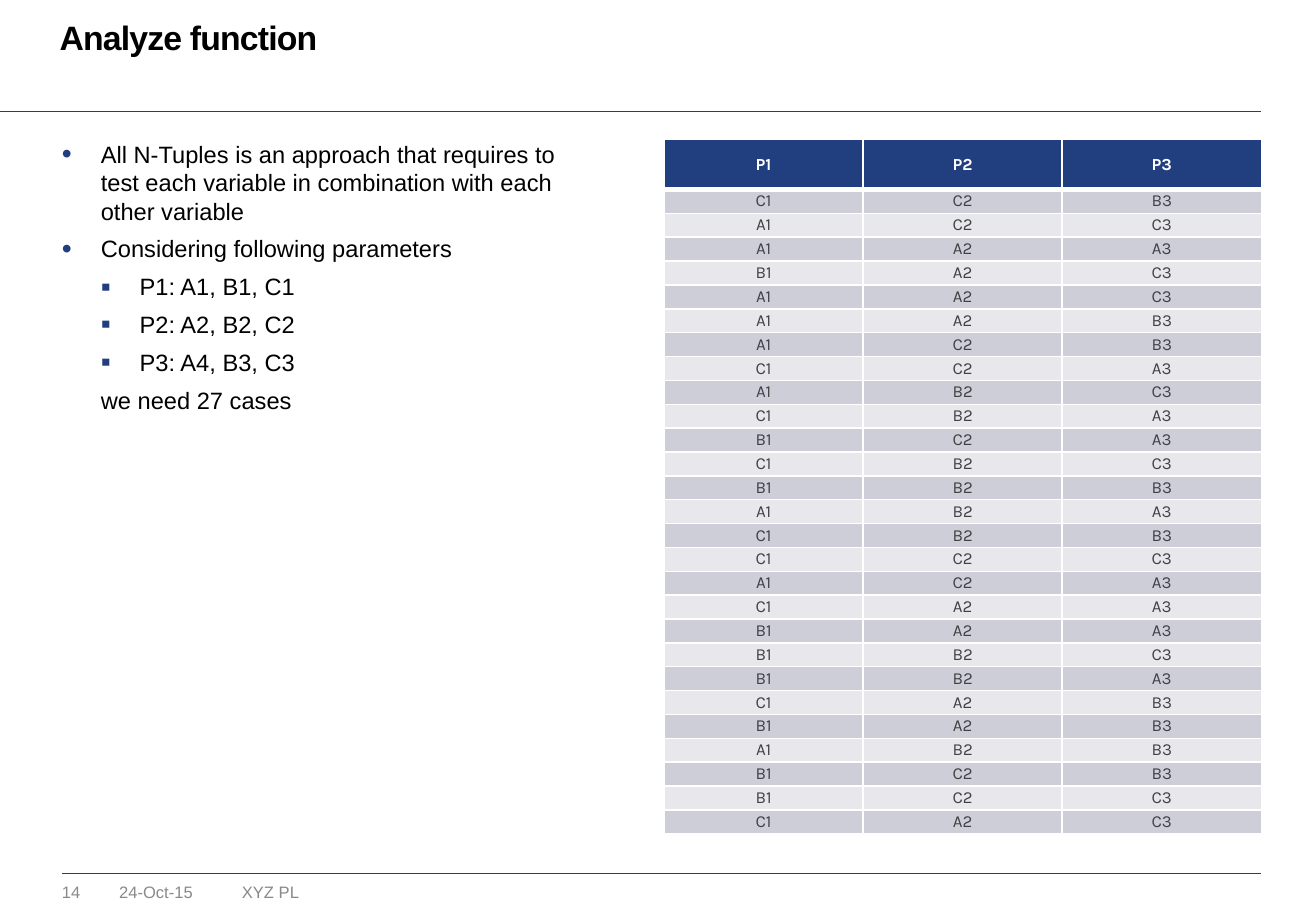
from lxml import etree
from pptx import Presentation
from pptx.dml.color import RGBColor
from pptx.enum.shapes import MSO_CONNECTOR
from pptx.enum.text import MSO_ANCHOR, PP_ALIGN
from pptx.oxml.ns import qn
from pptx.util import Inches, Pt

NAVY = RGBColor(0x21, 0x3E, 0x7F)
BLACK = RGBColor(0, 0, 0)
WHITE = RGBColor(0xFF, 0xFF, 0xFF)
GREY = RGBColor(0x89, 0x89, 0x89)
DARK = RGBColor(0x41, 0x40, 0x42)
BANDS = [RGBColor(0xE8, 0xE8, 0xEC), RGBColor(0xCD, 0xCE, 0xD8)]
STRAIGHT = MSO_CONNECTOR.STRAIGHT
CENTER = PP_ALIGN.CENTER
MIDDLE = MSO_ANCHOR.MIDDLE

WIDTH, HEIGHT = 10.83, 7.5
LEFT, RIGHT, TOP = 0.51, 10.38, 1.15
INDENT = 0.32
NO_EDGE = dict.fromkeys(
    ["margin_left", "margin_top", "margin_right", "margin_bottom"], 0)

TITLE = {"name": "Arial", "size": Pt(20), "bold": True}
BODY = {"name": "Arial", "size": Pt(14)}
SMALL = {"name": "Arial", "size": Pt(9.8)}
HEAD = {"name": "Karla", "size": Pt(10), "bold": True}
CELL = {"name": "Karla", "size": Pt(10), "bold": False}

# Text, level and bullet of each point
POINTS = [
    ("All N-Tuples is an approach that requires to test each variable "
     "in combination with each other variable", 0, "•"),
    ("Considering following parameters", 0, "•"),
    ("P1: A1, B1, C1", 1, "▪"),
    ("P2: A2, B2, C2", 1, "▪"),
    ("P3: A4, B3, C3", 1, "▪"),
    ("we need 27 cases", 1, None),
]
PARAMS = ["P1", "P2", "P3"]
# One letter for each parameter
CASES = """CCB ACC AAA BAC AAC AAB ACB CCA ABC CBA BCA CBC BBB ABA
CBB CCC ACA CAA BAA BBC BBA CAB BAB ABB BCB BCC CAC""".split()


def put(item, values):
    for name, value in values.items():
        setattr(item, name, value)


def node(parent, tag, **attrs):
    return etree.SubElement(parent, qn(tag), attrs)


def write(par, text, style, color):
    run = par.add_run()
    run.text = text
    put(run.font, style)
    run.font.color.rgb = color
    return run


def frame(slide, box, wrap=True):
    text = slide.shapes.add_textbox(*map(Inches, box)).text_frame
    put(text, {"word_wrap": wrap, **NO_EDGE})
    return text


def rule(slide, left, right, y):
    line = slide.shapes.add_connector(
        STRAIGHT, *map(Inches, (left, y, right, y)))
    line.line.color.rgb = NAVY
    line.line.width = Pt(0.25)
    node(line._element.spPr, "a:effectLst")


def title(slide, box):
    par = frame(slide, box).paragraphs[0]
    par.line_spacing = Pt(21.7)
    run = write(par, "Analyze function", TITLE, BLACK)
    run.font._element.set("spc", "-50")


def points(slide, box):
    text = frame(slide, box)
    for i, (words, level, mark) in enumerate(POINTS):
        par = text.add_paragraph() if i else text.paragraphs[0]
        put(par, {"level": level, "line_spacing": Pt(16.8),
                  "space_before": Pt(2.8), "space_after": Pt(2.8)})
        props = par._p.get_or_add_pPr()
        steps = level + 1 if mark else 1
        props.set("marL", str(Inches(INDENT * steps)))
        props.set("indent", str(Inches(-INDENT if mark else 0)))
        if mark:
            node(node(props, "a:buClr"), "a:srgbClr", val=str(NAVY))
            node(props, "a:buSzPct", val="120000")
            node(props, "a:buFont", typeface="Arial")
            node(props, "a:buChar", char=mark)
        else:
            node(props, "a:buNone")
        write(par, words, BODY, BLACK)


def border(cell, widths):
    props = cell._tc.get_or_add_tcPr()
    for side, width in zip("LRTB", widths):
        line = node(props, "a:ln" + side, w=str(Pt(width)))
        node(node(line, "a:solidFill"), "a:srgbClr", val=str(WHITE))


def cases(slide, box):
    rows = [PARAMS] + [[f"{letter}{n}" for n, letter in enumerate(case, 1)]
                       for case in CASES]
    grid = slide.shapes.add_table(
        len(rows), len(PARAMS), *map(Inches, box)).table
    grid.horz_banding = False
    head = 0.41
    step = (box[3] - head) / len(CASES)
    for col in grid.columns:
        col.width = Inches(box[2] / len(PARAMS))
    for r, row in enumerate(rows):
        grid.rows[r].height = Inches(step if r else head)
        for c, value in enumerate(row):
            cell = grid.cell(r, c)
            put(cell, {"vertical_anchor": MIDDLE, **NO_EDGE})
            border(cell, (1, 1, 3 if r == 1 else 1, 1 if r else 3))
            cell.fill.solid()
            cell.fill.fore_color.rgb = BANDS[r % 2] if r else NAVY
            par = cell.text_frame.paragraphs[0]
            par.alignment = CENTER
            write(par, value, CELL if r else HEAD, DARK if r else WHITE)


def footer(slide, box):
    left, top, width, height = box
    rule(slide, left, left + width, top)
    parts = [("14", 0, 0.39, False), ("24-Oct-15", 0.47, 0.89, True),
             ("XYZ PL", 1.48, 1.41, True)]
    for words, shift, wide, wrap in parts:
        text = frame(slide, (left + shift, top + 0.07, wide, height), wrap)
        write(text.paragraphs[0], words, SMALL, GREY)


def main():
    deck = Presentation()
    deck.slide_width, deck.slide_height = Inches(WIDTH), Inches(HEIGHT)
    slide = deck.slides.add_slide(deck.slide_layouts[6])
    half = WIDTH / 2 + 0.05
    # Heading
    rule(slide, 0, RIGHT, 0.92)
    title(slide, (0.49, 0.17, 9.93, 0.31))
    # Two columns
    points(slide, (LEFT, TOP, 4.36, 5.88))
    cases(slide, (half, TOP, RIGHT - half, 5.72))
    # Footer
    footer(slide, (LEFT, 7.19, RIGHT - LEFT, 0.17))
    deck.save("out.pptx")


if __name__ == "__main__":
    main()
